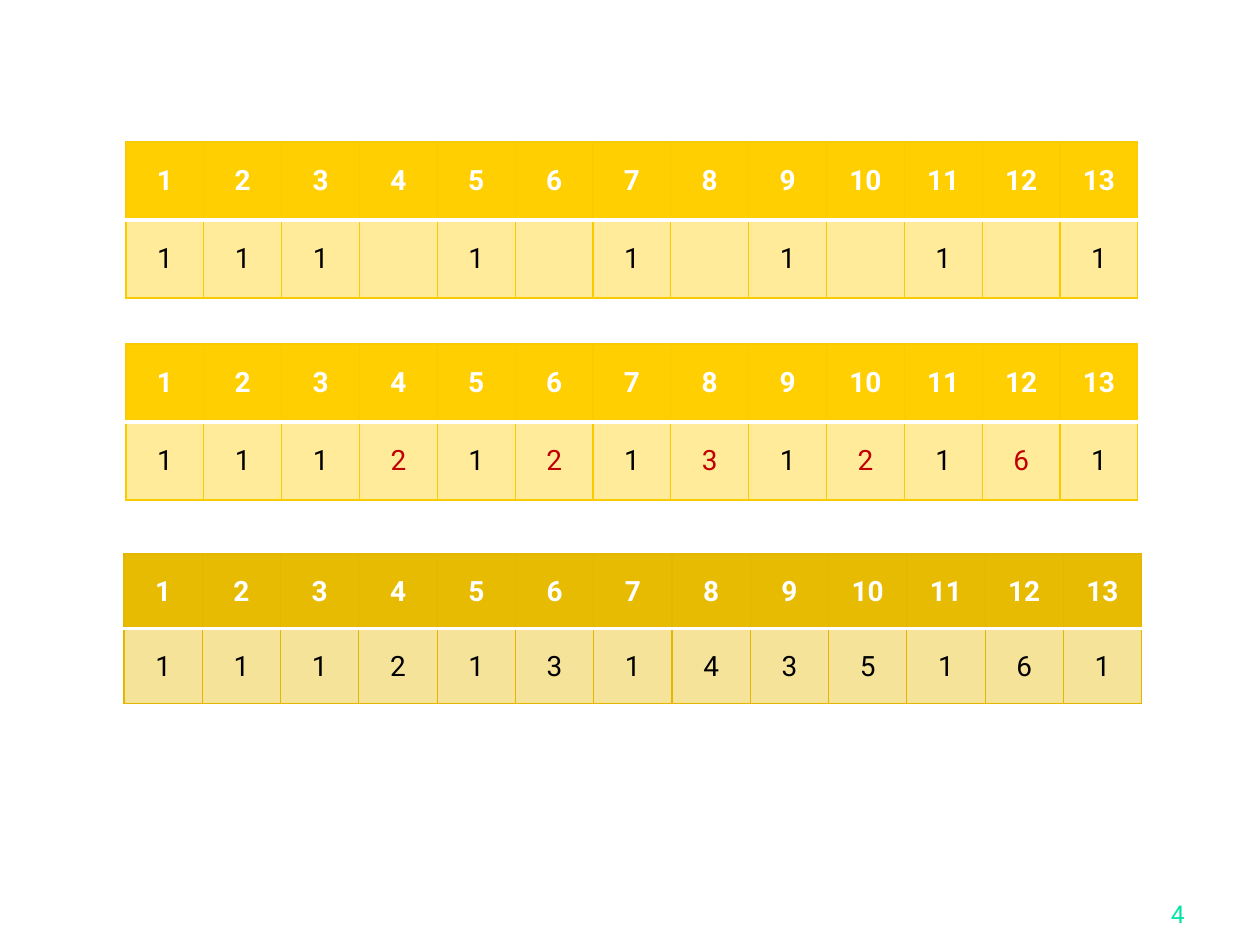
from lxml import etree
from pptx import Presentation
from pptx import util as u
from pptx.dml.color import RGBColor
from pptx.enum import text
from pptx.oxml import ns

SCALE = 914400 / 126
FONT = "Roboto"
WHITE = RGBColor(0xFF, 0xFF, 0xFF)
BLACK = RGBColor(0x00, 0x00, 0x00)
RED = RGBColor(0xC0, 0x00, 0x00)
TEAL = RGBColor(0x00, 0xE4, 0xA8)
YELLOW = RGBColor(0xFF, 0xCF, 0x01)
YELLOW_LINE = RGBColor(0xFA, 0xCB, 0x00)
GOLD = RGBColor(0xE7, 0xBB, 0x01)
GOLD_LINE = RGBColor(0xE3, 0xB7, 0x00)


def px(n):
    return u.Emu(round(n * SCALE))


def write(frame, words, size=16, color=BLACK, bold=False,
          align=text.PP_ALIGN.CENTER):
    paragraph = frame.paragraphs[0]
    paragraph.alignment = align
    # An empty cell keeps its size in the paragraph font
    target = paragraph.add_run() if words else paragraph
    if words:
        target.text = words
    target.font.name = FONT
    target.font.size = u.Pt(size)
    target.font.bold = bold
    target.font.color.rgb = color


deck = Presentation()
deck.slide_width, deck.slide_height = px(1260), px(945)
slide = deck.slides.add_slide(deck.slide_layouts[6])

# Page number
page_number = slide.shapes.add_textbox(px(935), px(872), px(262), px(63)).text_frame
page_number.word_wrap = True
page_number.vertical_anchor = text.MSO_ANCHOR.BOTTOM
write(page_number, "4", size=14, color=TEAL, align=text.PP_ALIGN.RIGHT)

# Number strips: left, top, width, row height, fill, line, values, red values
odd_ones = ["1", "1", "1", "", "1", "", "1", "", "1", "", "1", "", "1"]
strips = [
    (126, 142, 1012, 78, YELLOW, YELLOW_LINE, odd_ones, ""),
    (126, 344, 1012, 78, YELLOW, YELLOW_LINE, "1112121312161", "236"),
    (124, 554, 1018, 75, GOLD, GOLD_LINE, "1112131435161", ""),
]
for left, top, width, row_height, fill, line, values, red_values in strips:
    headings = [str(n + 1) for n in range(len(values))]
    strip = slide.shapes.add_table(2, len(values), px(left), px(top),
                                   px(width), px(2 * row_height)).table
    for column in strip.columns:
        column.width = px(width / len(values))
    for r, row_words in enumerate((headings, values)):
        strip.rows[r].height = px(row_height)
        for c, words in enumerate(row_words):
            cell = strip.cell(r, c)
            cell.vertical_anchor = text.MSO_ANCHOR.MIDDLE
            cell.fill.solid()
            cell.fill.fore_color.rgb = fill
            props = cell._tc.get_or_add_tcPr()
            if r == 0:
                color = WHITE
            else:
                color = RED if words and words in red_values else BLACK
                tint = props.find(".//" + ns.qn("a:srgbClr"))
                etree.SubElement(tint, ns.qn("a:alpha"), val="40000")
            write(cell.text_frame, words, color=color, bold=r == 0)

            # Cell borders, with a white rule under the headings
            for i, side in enumerate(("lnL", "lnR", "lnT", "lnB")):
                is_rule = (r, side) in ((0, "lnB"), (1, "lnT"))
                border = etree.Element(ns.qn("a:" + side),
                                       w=str(u.Pt(2 if is_rule else 0.75)))
                paint = etree.SubElement(border, ns.qn("a:solidFill"))
                etree.SubElement(paint, ns.qn("a:srgbClr"),
                                 val=str(WHITE if is_rule else line))
                props.insert(i, border)

deck.save("out.pptx")
